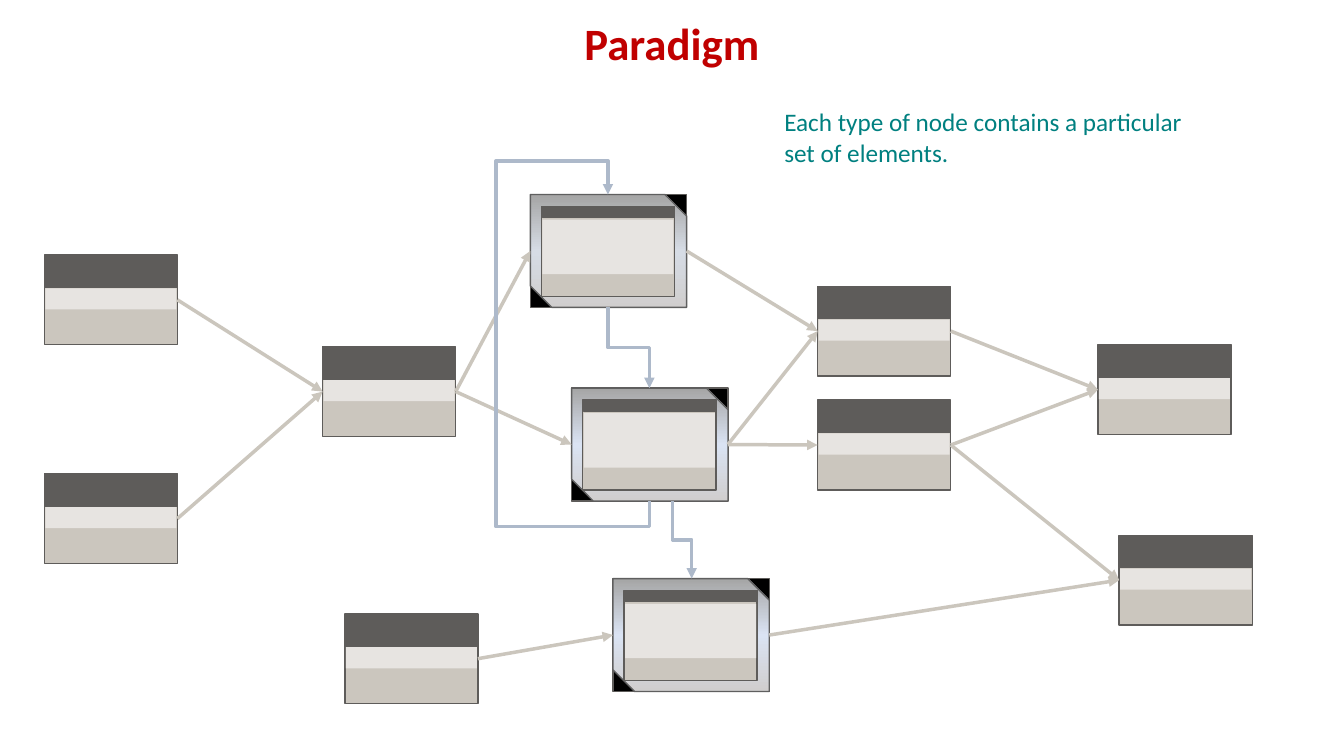
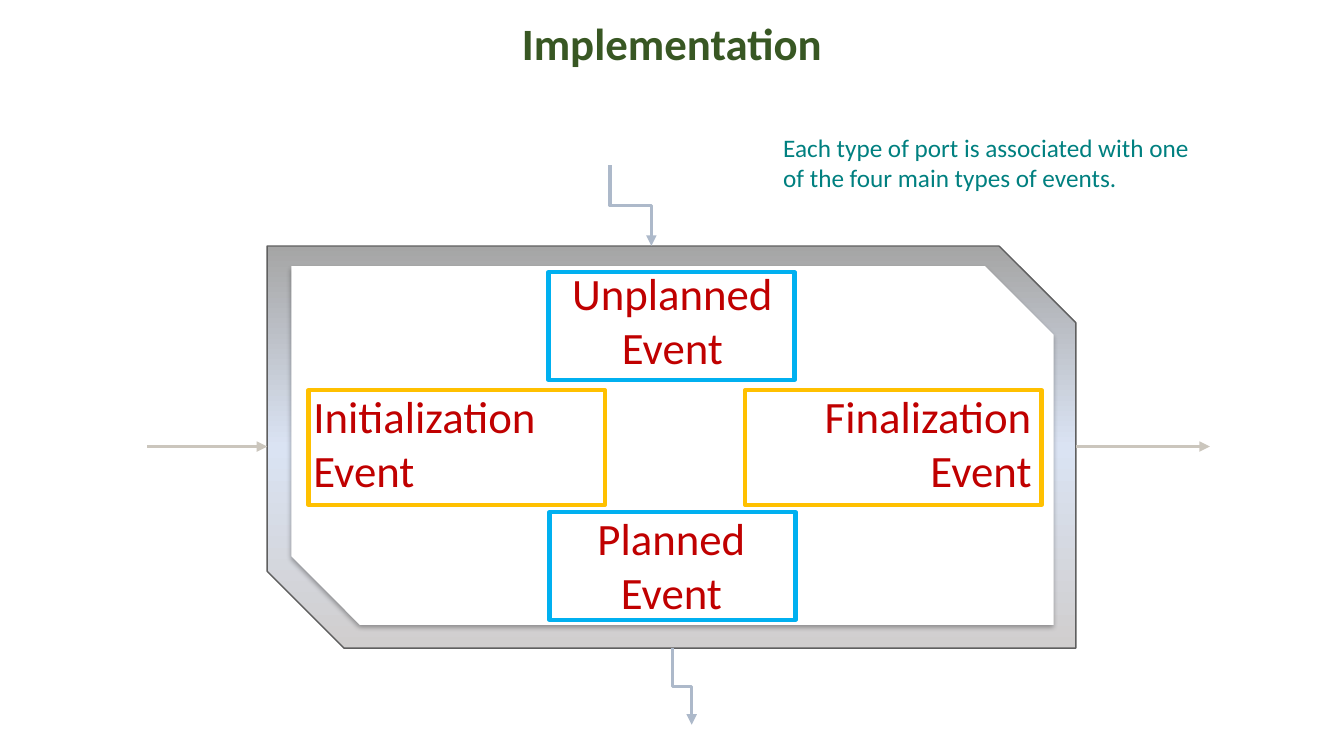
"""Build two slides on a node paradigm and its event ports."""
from copy import deepcopy
from dataclasses import dataclass

from pptx import Presentation
from pptx.dml.color import RGBColor
from pptx.enum.shapes import MSO_CONNECTOR as Conn, MSO_SHAPE as Kind
from pptx.enum.text import MSO_ANCHOR as Anchor, PP_ALIGN as Align
from pptx.oxml import parse_xml
from pptx.oxml.ns import nsdecls, qn
from pptx.util import Inches, Pt


@dataclass(frozen=True)
class Theme:
    """Hold the colours, font and sizes of the deck."""
    font: str = "Calibri"
    big: int = 32
    small: int = 18
    thin: float = 1
    wire: float = 2.5
    thick: float = 3
    red: str = "C00000"
    green: str = "385723"
    teal: str = "008080"
    dark: str = "5E5C5A"
    light: str = "E7E4E1"
    stone: str = "CBC6BE"
    link: str = "CBC6BD"
    flow: str = "ADB9CA"
    rim: str = "5F5F5F"
    base: str = "D0CECE"
    mid: str = "DAE3F3"
    dull: str = "D6DCE5"
    top: str = "A5A5A5"
    black: str = "000000"
    white: str = "FFFFFF"
    gold: str = "FFC000"
    sky: str = "00B0F0"


T = Theme()
NODE = (1.32, 0.89)
FRAME = (1.55, 1.12)
NODES = {
    "in1": (0.44, 2.53), "in2": (0.44, 4.7), "join": (3.2, 3.44),
    "side": (3.42, 6.09), "out1": (8.11, 2.84), "out2": (8.11, 3.97),
    "end1": (10.89, 3.42), "end2": (11.1, 5.31),
}
FRAMES = {"first": (5.26, 1.93), "next": (5.67, 3.85), "last": (6.08, 5.74)}
LINKS = (
    ("join", "first"), ("in1", "join"), ("in2", "join"), ("first", "out1"),
    ("join", "next"), ("side", "last"), ("next", "out2"), ("out2", "end2"),
    ("last", "end2"), ("out1", "end1"), ("out2", "end1"), ("next", "out1"),
)
EVENTS = (
    ("Initialization", (3.01, 3.81), Align.LEFT, (3.06, 3.87, 2.94, 1.14), T.gold),
    ("Unplanned", (5.02, 2.59), Align.CENTER, (5.44, 2.7, 2.44, 1.07), T.sky),
    ("Planned", (5.01, 5.02), Align.CENTER, (5.45, 5.08, 2.44, 1.07), T.sky),
    ("Finalization", (7.03, 3.81), Align.RIGHT, (7.39, 3.87, 2.94, 1.14), T.gold),
)


def rgb(code):
    """Turn a hex code into a colour."""
    return RGBColor.from_string(code)


def text(slide, box, words, size=T.big, color=T.red, bold=False,
         align=Align.LEFT, anchor=Anchor.TOP, space=None):
    """Add a wrapped text box with one format."""
    frame = slide.shapes.add_textbox(*map(Inches, box)).text_frame
    frame.word_wrap = True
    frame.vertical_anchor = anchor
    frame.text = words
    for para in frame.paragraphs:
        para.alignment = align
        para.line_spacing = space
        font = para.font
        font.name, font.size, font.bold = T.font, Pt(size), bold
        font.color.rgb = rgb(color)


def head(slide, title, color, note, box):
    """Add the title and the teal note."""
    text(slide, (0, 0.16, 13.33, 0.59), title, color=color, bold=True,
         align=Align.CENTER, anchor=Anchor.BOTTOM, space=0.9)
    text(slide, box, note, size=T.small, color=T.teal)


def shape(slide, box, fill=None, line=None, width=T.thin, kind=Kind.RECTANGLE):
    """Add a flat preset shape."""
    item = slide.shapes.add_shape(kind, *map(Inches, box))
    item.shadow.inherit = False
    if fill:
        item.fill.solid()
        item.fill.fore_color.rgb = rgb(fill)
    else:
        item.fill.background()
    if line:
        item.line.color.rgb = rgb(line)
        item.line.width = Pt(width)
    else:
        item.line.fill.background()
    return item


def snip(slide, box, fill=None, line=None):
    """Add a shape with two opposite corners cut off."""
    item = shape(slide, box, fill, line, kind=Kind.SNIP_2_DIAG_RECTANGLE)
    item.adjustments[0], item.adjustments[1] = 0, 0.191
    return item


def panel(slide, box, mid=T.mid):
    """Add a snipped panel with a three-stop gradient."""
    item = snip(slide, box, line=T.rim)
    item.fill.gradient()
    item.fill.gradient_angle = 90
    stops = item._element.spPr.find(".//" + qn("a:gsLst"))
    stops.append(deepcopy(stops[0]))
    for stop, place, code in zip(item.fill.gradient_stops, (0, 0.5, 1),
                                 (T.base, mid, T.top)):
        stop.position = place
        stop.color.rgb = rgb(code)


def shade(item):
    """Give a shape a soft shadow below it."""
    spot = item._element.spPr.find(qn("a:effectLst"))
    spot.append(parse_xml(
        f'<a:outerShdw {nsdecls("a")} blurRad="{Pt(3.5)}" dist="{Pt(2.2)}" '
        f'dir="5400000" rotWithShape="0"><a:srgbClr val="{T.black}">'
        '<a:alpha val="32000"/></a:srgbClr></a:outerShdw>'))


def node(slide, x, y):
    """Add a plain node of three bands."""
    wide, high = NODE
    shape(slide, (x, y + 0.32, wide, high - 0.32), T.stone, T.dark)
    shape(slide, (x + 0.01, y + 0.33, 1.3, 0.21), T.light)
    shape(slide, (x, y, wide, 0.32), T.dark, T.dark)


def nest(slide, x, y, mid):
    """Add a framed node and return its backing."""
    back = shape(slide, (x, y, *FRAME), T.black, T.dark)
    panel(slide, (x, y, *FRAME), mid)
    x, y = x + 0.11, y + 0.12
    shape(slide, (x, y, *NODE), T.stone, T.dark)
    shape(slide, (x + 0.01, y + 0.13, 1.3, 0.54), T.light)
    shape(slide, (x + 0.01, y, 1.31, 0.11), T.dark, T.dark)
    return back


def wire(slide, start, end, color=T.link, kind=Conn.STRAIGHT):
    """Add a line with an arrowhead at its end."""
    item = slide.shapes.add_connector(kind, *map(Inches, (*start, *end)))
    item.line.color.rgb = rgb(color)
    item.line.width = Pt(T.wire)
    item.line._get_or_add_ln().append(
        parse_xml(f'<a:tailEnd {nsdecls("a")} type="triangle"/>'))
    item._element.spPr.append(parse_xml(f'<a:effectLst {nsdecls("a")}/>'))
    return item


def bend(slide, start, end):
    """Add an elbow arrow that leaves and arrives upright."""
    (x1, y1), (x2, y2) = start, end
    mx, my = (x1 + x2) / 2, (y1 + y2) / 2
    dx, dy = abs(x2 - x1) / 2, abs(y2 - y1) / 2
    item = wire(slide, (mx + dy, my - dx), (mx - dy, my + dx), T.flow, Conn.ELBOW)
    item.rotation = 270 if y2 > y1 else 90
    return item


def loop(slide, start, end, low, high):
    """Add the arrow that runs back from one frame to another."""
    item = bend(slide, start, end)
    ends = item.begin_x, item.begin_y, item.end_x, item.end_y
    item.begin_connect(low, 2)
    item.end_connect(high, 0)
    item.begin_x, item.begin_y, item.end_x, item.end_y = ends
    geom = item._element.spPr.find(qn("a:prstGeom"))
    geom.set("prst", "bentConnector5")
    rules = geom.find(qn("a:avLst"))
    for num, part in enumerate((-0.084, 3.705, 1.11), 1):
        rules.append(parse_xml(
            f'<a:gd {nsdecls("a")} name="adj{num}" '
            f'fmla="val {round(part * 100000)}"/>'))


def port(name, right):
    """Find the middle of a side of a node or frame."""
    (x, y), (wide, high) = (
        (NODES[name], NODE) if name in NODES else (FRAMES[name], FRAME))
    return x + wide * right, y + high / 2


def plan(slide):
    """Draw the paradigm slide."""
    backs = {name: nest(slide, *spot, T.dull if name == "first" else T.mid)
             for name, spot in FRAMES.items()}
    for spot in NODES.values():
        node(slide, *spot)
    for start, end in LINKS:
        wire(slide, port(start, True), port(end, False))
    bend(slide, (6.03, 3.05), (6.44, 3.85))
    bend(slide, (6.67, 4.97), (6.86, 5.74))
    loop(slide, (6.44, 4.97), (6.03, 1.93), backs["next"], backs["first"])
    head(slide, "Paradigm", T.red,
         "Each type of node contains a particular set of elements.",
         (7.68, 1.01, 4.32, 0.71))


def build(slide):
    """Draw the implementation slide."""
    panel(slide, (2.65, 2.44, 8.02, 3.99))
    shade(snip(slide, (2.89, 2.64, 7.56, 3.56), T.white))
    wire(slide, (1.46, 4.43), (2.65, 4.43))
    wire(slide, (10.67, 4.43), (12, 4.43))
    bend(slide, (6.05, 1.64), (6.46, 2.44))
    bend(slide, (6.67, 6.43), (6.86, 7.19))
    for name, spot, align, box, color in EVENTS:
        text(slide, (*spot, 3.3, 1.18), f"{name}\nEvent", align=align)
        shape(slide, box, line=color, width=T.thick)
    head(slide, "Implementation", T.green,
         "Each type of port is associated with one of the four main types of events.",
         (7.67, 1.26, 4.33, 0.71))


def main():
    """Build and save the deck."""
    deck = Presentation()
    deck.slide_width, deck.slide_height = Inches(13.33), Inches(7.5)
    for draw in (plan, build):
        draw(deck.slides.add_slide(deck.slide_layouts[6]))
    deck.save("out.pptx")


if __name__ == "__main__":
    main()
